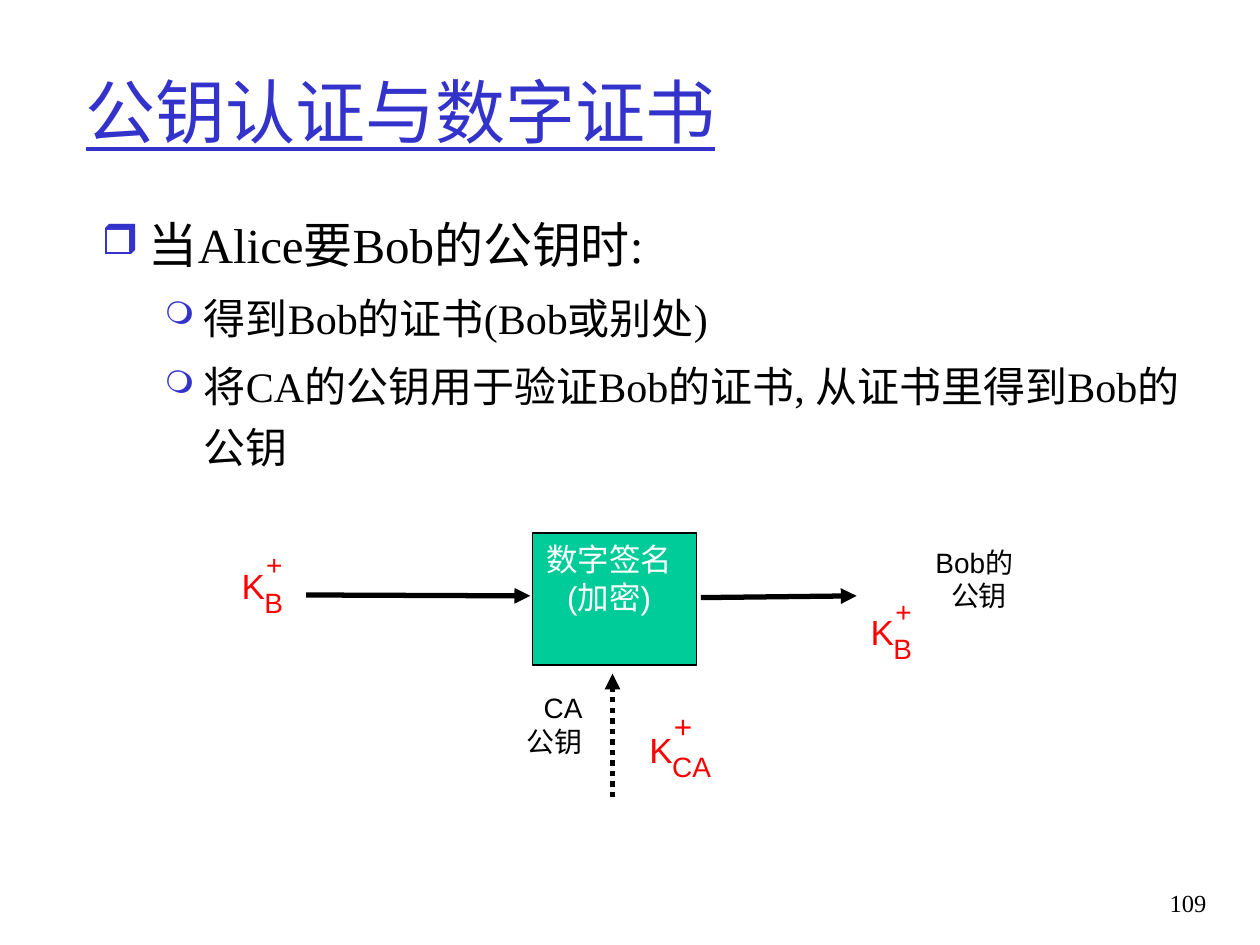
from lxml import etree
from pptx import Presentation
from pptx.dml.color import RGBColor
from pptx.enum.dml import MSO_LINE
from pptx.enum.shapes import MSO_CONNECTOR, MSO_SHAPE
from pptx.enum.text import MSO_ANCHOR, PP_ALIGN
from pptx.oxml.ns import qn
from pptx.util import Pt

LEFT, CENTER, RIGHT = PP_ALIGN.LEFT, PP_ALIGN.CENTER, PP_ALIGN.RIGHT
TOP, MIDDLE = MSO_ANCHOR.TOP, MSO_ANCHOR.MIDDLE
SYS_DOT = MSO_LINE.ROUND_DOT
COLORS = {"blue": "3333CC", "black": "000000", "red": "FF0000",
          "green": "00CC99", "white": "FFFFFF"}
SERIF, SANS, TITLE_FONT = "Times New Roman", "Arial", "Calibri"

# Content
TITLE = "公钥认证与数字证书"
PAGE_NUMBER = "109"
BULLETS = [
    (0, "当Alice要Bob的公钥时:"),
    (1, "得到Bob的证书(Bob或别处)"),
    (1, "将CA的公钥用于验证Bob的证书, 从证书里得到Bob的公钥"),
]
# Per level: bullet, bullet size %, left margin, hanging indent, text size
LEVELS = [("❒", 85, 27, 27, 28), ("❍", 75, 58.5, 22.5, 24)]
# Captions: lines, left, top
CAPTIONS = [(["Bob的", "公钥 "], 510.5, 308), (["CA ", "公钥 "], 268, 391)]
# Keys: subscript, left and top of the K, width of the subscript, size of the plus
KEYS = [("B", 131, 319, 25, 16), ("B", 490.5, 345.5, 25, 16),
        ("CA", 364, 413, 37, 18)]
# Arrows: start x, y, end x, y, dash
ARROWS = [(175, 340, 303, 340.5, None), (400.5, 341.5, 489.5, 340.5, None),
          (350, 455.5, 350, 385, SYS_DOT)]

prs = Presentation()
prs.slide_width, prs.slide_height = Pt(720), Pt(540)
s = prs.slides.add_slide(prs.slide_layouts[6])


def rgb(name):
    return RGBColor.from_string(COLORS[name])


def add_run(p, text, size, font, color, underline=None):
    r = p.add_run()
    r.text = text
    r.font.size, r.font.name, r.font.underline = Pt(size), font, underline
    r.font.color.rgb = rgb(color)


def add_frame(x, y, w, h, wrap=True, anchor=TOP):
    tf = s.shapes.add_textbox(Pt(x), Pt(y), Pt(w), Pt(h)).text_frame
    tf.word_wrap, tf.vertical_anchor = wrap, anchor
    return tf


def add_text(box, lines, size, font, color, aligns=(LEFT,), wrap=True,
             anchor=TOP, underline=None):
    tf = add_frame(*box, wrap, anchor)
    for i, (line, align) in enumerate(zip(lines, aligns)):
        p = tf.add_paragraph() if i else tf.paragraphs[0]
        p.alignment = align
        add_run(p, line, size, font, color, underline)


def add_bullet(p, char, percent, margin, hanging):
    pPr = p._p.get_or_add_pPr()
    pPr.set("marL", str(Pt(margin)))
    pPr.set("indent", str(-Pt(hanging)))
    clr = etree.SubElement(pPr, qn("a:buClr"))
    etree.SubElement(clr, qn("a:srgbClr"), val=COLORS["blue"])
    etree.SubElement(pPr, qn("a:buSzPct"), val=str(percent * 1000))
    etree.SubElement(pPr, qn("a:buChar"), char=char)


def add_arrow(x1, y1, x2, y2, dash):
    c = s.shapes.add_connector(MSO_CONNECTOR.STRAIGHT, Pt(x1), Pt(y1), Pt(x2), Pt(y2))
    c.line.color.rgb, c.line.width = rgb("black"), Pt(3)
    if dash:
        c.line.dash_style = dash
    etree.SubElement(c.line._get_or_add_ln(), qn("a:tailEnd"), type="triangle")
    etree.SubElement(c._element.spPr, qn("a:effectLst"))


def add_key(sub, x, y, sub_width, plus_size):
    add_text((x, y, 33, 31.5), ["K"], 20, SANS, "red", wrap=False)
    add_text((x + 13, y + 12, sub_width, 26.5), [sub], 16, SANS, "red", wrap=False)
    add_text((x + 14, y - 9.5 - 1.5 * (plus_size - 16), 24, 26.5), ["+"],
             plus_size, SANS, "red", wrap=False)


# Title and page number
add_text((42, 18, 612, 90), [TITLE], 40, TITLE_FONT, "blue",
         anchor=MIDDLE, underline=True)
add_text((643, 504, 53.5, 36), [PAGE_NUMBER], 14, SERIF, "black", (RIGHT,))

# Bulleted body
body = add_frame(51, 112.5, 640, 366)
for i, (level, text) in enumerate(BULLETS):
    char, percent, margin, hanging, size = LEVELS[level]
    p = body.add_paragraph() if i else body.paragraphs[0]
    p.level = level
    add_bullet(p, char, percent, margin, hanging)
    p.line_spacing = 1.2
    if i:
        p.space_before = Pt(0.2 * size)
    add_run(p, text, size, SERIF, "black")

# Signature box
sp = s.shapes.add_shape(MSO_SHAPE.RECTANGLE, Pt(304.5), Pt(304.5), Pt(93.5), Pt(75.5))
sp.shadow.inherit = False
sp.fill.solid()
sp.fill.fore_color.rgb = rgb("green")
sp.line.color.rgb, sp.line.width = rgb("black"), Pt(0.75)
add_text((305, 305, 87, 51), ["数字签名", "(加密)"], 18, SANS, "white",
         (LEFT, CENTER), wrap=False)

# Captions, keys and arrows
for lines, x, y in CAPTIONS:
    add_text((x, y, 75.5, 46), lines, 16, SANS, "black", (RIGHT, RIGHT))
for key in KEYS:
    add_key(*key)
for arrow in ARROWS:
    add_arrow(*arrow)

prs.save("out.pptx")
